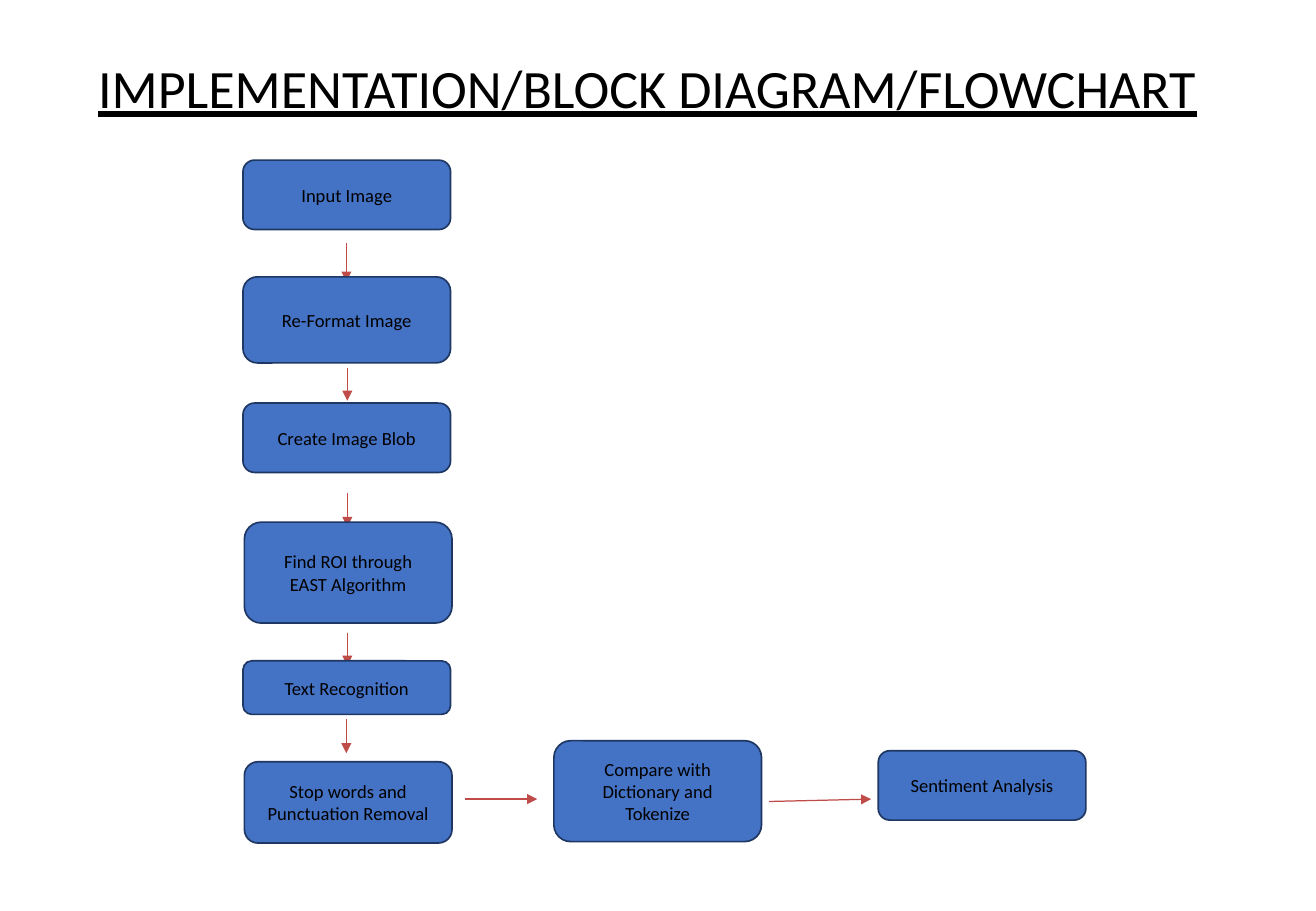
"""Build the implementation flowchart slide."""
from lxml.etree import SubElement
from pptx import Presentation
from pptx.dml.color import RGBColor
from pptx.enum.shapes import MSO_CONNECTOR, MSO_SHAPE
from pptx.enum.text import MSO_ANCHOR, PP_ALIGN
from pptx.oxml.ns import qn
from pptx.util import Cm, Pt

BLACK = RGBColor(0x00, 0x00, 0x00)
BLUE = RGBColor(0x44, 0x72, 0xC4)
NAVY = RGBColor(0x1F, 0x37, 0x63)
RED = RGBColor(0xBF, 0x4C, 0x48)

BOX_WIDTH = 4.34
STEPS = [
    ("Input Image", 5.08, 3.35, 1.45),
    ("Re-Format Image", 5.08, 5.79, 1.8),
    ("Create Image Blob", 5.08, 8.43, 1.45),
    ("Find ROI through\nEAST Algorithm", 5.11, 10.92, 2.11),
    ("Text Recognition", 5.08, 13.82, 1.12),
    ("Stop words and Punctuation Removal", 5.11, 15.93, 1.7),
    ("Compare with Dictionary and Tokenize", 11.58, 15.49, 2.11),
    ("Sentiment Analysis", 18.36, 15.7, 1.45),
]
ARROWS = [
    (7.24, 5.08, 7.24, 5.89),
    (7.26, 7.7, 7.26, 8.38),
    (7.26, 10.31, 7.26, 11.02),
    (7.26, 13.23, 7.26, 13.92),
    (7.24, 15.04, 7.24, 15.75),
    (9.73, 16.71, 11.23, 16.71),
    (16.08, 16.76, 18.21, 16.71),
]


def write_text(sp, text, size, align=PP_ALIGN.LEFT, underline=None):
    tf = sp.text_frame
    tf.word_wrap = True
    tf.vertical_anchor = MSO_ANCHOR.MIDDLE
    tf.text = text
    for p in tf.paragraphs:
        p.alignment = align
        for r in p.runs:
            r.font.name = "Calibri"
            r.font.size = Pt(size)
            r.font.underline = underline
            r.font.color.rgb = BLACK


prs = Presentation()
prs.slide_width = Cm(27.51)
prs.slide_height = Cm(19.05)
s = prs.slides.add_slide(prs.slide_layouts[6])

title = s.shapes.add_textbox(Cm(1.8), Cm(0.23), Cm(24.77), Cm(3.18))
write_text(title, "IMPLEMENTATION/BLOCK DIAGRAM/FLOWCHART", 32, underline=True)

for points in ARROWS:
    arrow = s.shapes.add_connector(MSO_CONNECTOR.STRAIGHT, *map(Cm, points))
    arrow.line.color.rgb = RED
    arrow.line.width = Pt(0.75)
    SubElement(arrow.line._get_or_add_ln(), qn("a:tailEnd"), type="triangle")
    SubElement(arrow._element.spPr, qn("a:effectLst"))

for text, left, top, height in STEPS:
    sp = s.shapes.add_shape(MSO_SHAPE.ROUNDED_RECTANGLE, Cm(left), Cm(top),
                            Cm(BOX_WIDTH), Cm(height))
    sp.shadow.inherit = False
    sp.fill.solid()
    sp.fill.fore_color.rgb = BLUE
    sp.line.color.rgb = NAVY
    sp.line.width = Pt(1)
    write_text(sp, text, 11, PP_ALIGN.CENTER)

prs.save("out.pptx")
